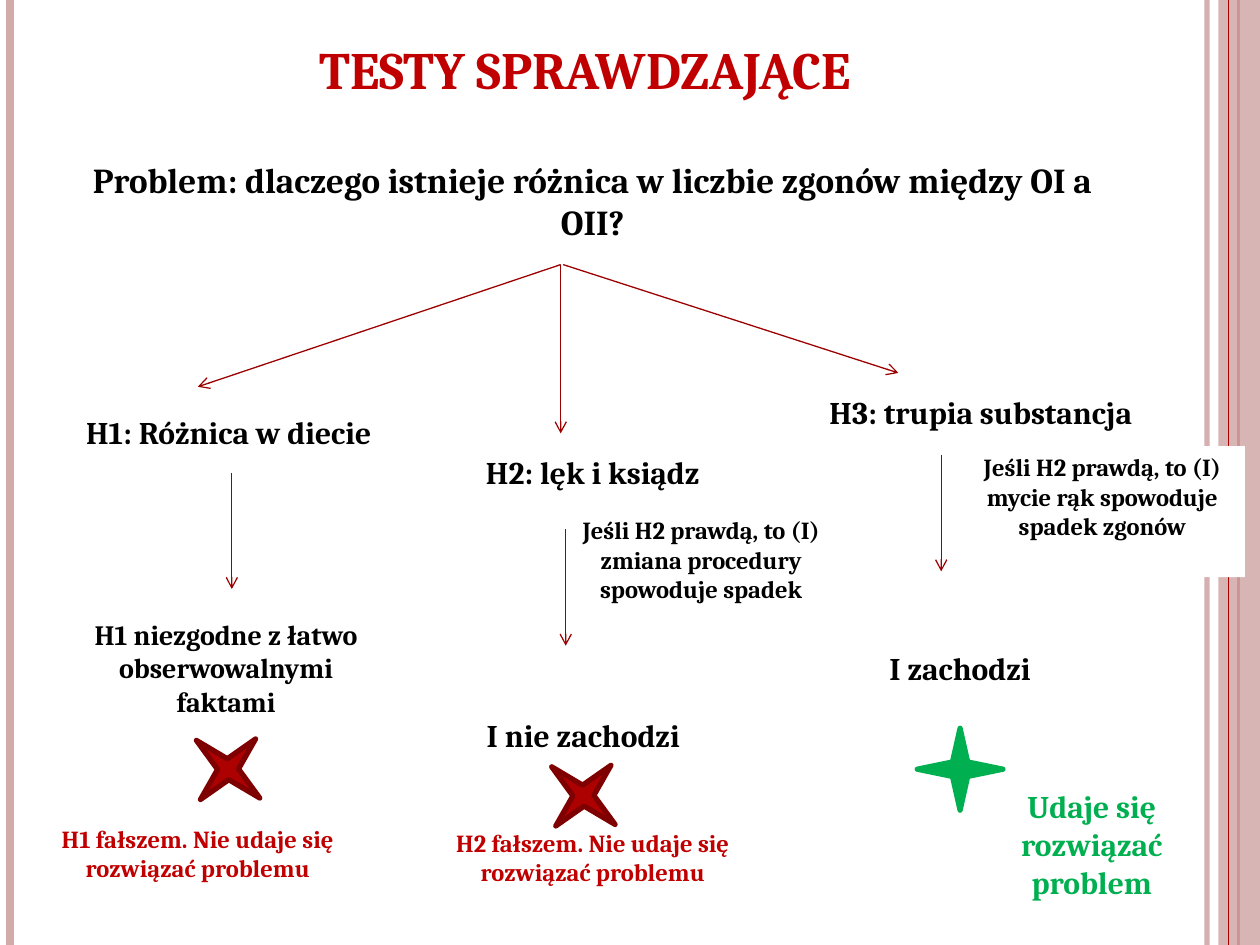
from lxml import etree
from pptx import Presentation
from pptx.dml.color import RGBColor
from pptx.enum.shapes import MSO_CONNECTOR, MSO_SHAPE
from pptx.enum.text import MSO_ANCHOR, PP_ALIGN
from pptx.oxml.ns import qn
from pptx.util import Inches, Pt

STRAIGHT = MSO_CONNECTOR.STRAIGHT
RECT, STAR = MSO_SHAPE.RECTANGLE, MSO_SHAPE.STAR_4_POINT
CENTER = PP_ALIGN.CENTER
TOP, BOTTOM = MSO_ANCHOR.TOP, MSO_ANCHOR.BOTTOM
rgb = RGBColor.from_string
PINK, RED, DARK, TITLE_RED = "D3AAAA", "AD0101", "9C0101", "C00000"
GREEN, BLACK, WHITE = "00B050", "000000", "FFFFFF"

prs = Presentation()
prs.slide_width, prs.slide_height = Inches(10), Inches(7.5)
s = prs.slides.add_slide(prs.slide_layouts[6])

# Grid of 100 columns by 75 rows with square cells
COLS, ROWS = 100, 75
cell = prs.slide_width / COLS


def add_line(x1, y1, x2, y2, color, width, arrow=False):
    c = s.shapes.add_connector(STRAIGHT, *(int(v * cell) for v in (x1, y1, x2, y2)))
    c.line.color.rgb = rgb(color)
    c.line.width = Pt(width)
    if arrow:
        etree.SubElement(c.line._get_or_add_ln(), qn("a:tailEnd"), type="arrow")
    etree.SubElement(c._element.spPr, qn("a:effectLst"))
    return c


def add_text(text, x, y, w, h, size, color=BLACK, wrap=True, filled=False, anchor=TOP):
    box = [int(v * cell) for v in (x, y, w, h)]
    if filled:
        sp = s.shapes.add_shape(RECT, *box)
        sp.shadow.inherit = False
        sp.fill.solid()
        sp.fill.fore_color.rgb = rgb(WHITE)
        sp.line.fill.background()
    else:
        sp = s.shapes.add_textbox(*box)
    tf = sp.text_frame
    tf.word_wrap = wrap
    tf.vertical_anchor = anchor
    p = tf.paragraphs[0]
    p.alignment = CENTER
    r = p.add_run()
    r.text = text
    r.font.name, r.font.size, r.font.bold = "Cambria", Pt(size), True
    r.font.color.rgb = rgb(color)


# Side stripes
stripe = add_line(95.8, 0, 95.8, ROWS, PINK, 3)
add_line(0.8, 0, 0.8, ROWS, PINK, 4.5)
add_line(98.3, 0, 98.3, ROWS, RED, 1.5)
band = s.shapes.add_shape(RECT, int(96.7 * cell), 0, int(3.3 * cell), prs.slide_height)
band.shadow.inherit = False
band.fill.solid()
band.fill.fore_color.rgb = rgb(PINK)
band.line.fill.background()
for part, alpha in ((stripe.line._get_or_add_ln(), "93000"), (band._element.spPr, "87000")):
    etree.SubElement(part.find(".//" + qn("a:srgbClr")), qn("a:alpha"), val=alpha)
add_line(97.5, 0, 97.5, ROWS, RED, 0.75)

# Title and problem
add_text("TESTY SPRAWDZAJĄCE", 3.5, 2.1, 85.9, 6.3, 30, TITLE_RED, anchor=BOTTOM)
add_text("Problem: dlaczego istnieje różnica w liczbie zgonów między OI a OII?",
         6.2, 12.1, 81.7, 10, 20)

# Arrows from the problem to the hypotheses, then down to the tests
for x1, y1, x2, y2 in ((44.5, 21, 15.7, 30.7), (44.5, 21, 44.5, 34.4), (44.7, 21, 71.3, 29.6)):
    add_line(x1, y1, x2, y2, DARK, 0.75, arrow=True)
for x, y in ((18.4, 37.5), (44.9, 42), (74.7, 36.1)):
    add_line(x, y, x, y + 9.25, DARK, 0.75, arrow=True)

# Hypotheses
add_text("H1: Różnica w diecie", 3.7, 32.3, 28.9, 4, 18, wrap=False)
add_text("H2: lęk i ksiądz", 35.9, 35.5, 22.3, 4, 18)
add_text("H3: trupia substancja", 62.2, 30.7, 31.3, 4, 18)

# Predictions
add_text("Jeśli H2 prawdą, to (I) zmiana procedury spowoduje spadek", 44.7, 40.4, 21.9, 10.4, 14)
add_text("Jeśli H2 prawdą, to (I) mycie rąk spowoduje spadek zgonów",
         76.2, 35.4, 22.6, 10.4, 14, filled=True)

# Test results
add_text("H1 niezgodne z łatwo obserwowalnymi faktami", 4.6, 48.5, 26.7, 9, 16)
add_text("I nie zachodzi", 36.3, 56.3, 20, 4, 18, wrap=False)
add_text("I zachodzi", 68.6, 51, 15.2, 4, 18, wrap=False)

# Verdict stars
for x, y, angle, fill, outline in ((14.7, 57.8, 42.3, RED, "7E0000"),
                                   (42.9, 59.9, 42.3, RED, "7E0000"),
                                   (72.8, 57.8, 0, GREEN, GREEN)):
    star = s.shapes.add_shape(STAR, *(int(v * cell) for v in (x, y, 6.8, 6.5)))
    star.shadow.inherit = False
    star.rotation = angle
    star.adjustments[0] = 0.125
    star.fill.solid()
    star.fill.fore_color.rgb = rgb(fill)
    star.line.color.rgb = rgb(outline)
    star.line.width = Pt(3)

# Verdicts
add_text("H1 fałszem. Nie udaje się rozwiązać problemu", 2.7, 64.9, 26, 5.7, 14, TITLE_RED)
add_text("H2 fałszem. Nie udaje się rozwiązać problemu", 34.1, 65.2, 25.9, 8, 14, TITLE_RED)
add_text("Udaje się rozwiązać problem", 77.9, 62, 17.5, 10, 18, GREEN, filled=True)

prs.save("out.pptx")
